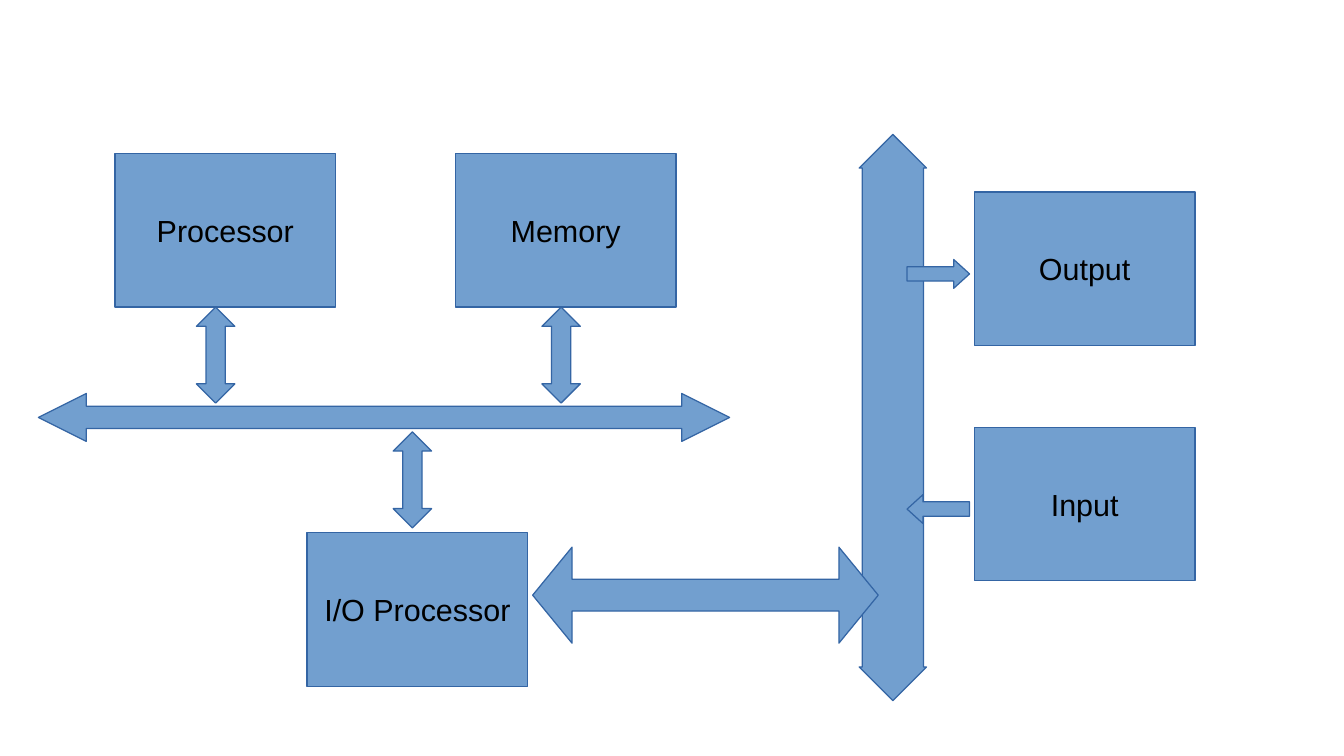
from dataclasses import dataclass

from pptx import Presentation
from pptx.dml.color import RGBColor
from pptx.enum.shapes import MSO_SHAPE
from pptx.enum.text import MSO_ANCHOR, PP_ALIGN
from pptx.util import Pt

RECTANGLE = MSO_SHAPE.RECTANGLE
HORIZONTAL = MSO_SHAPE.LEFT_RIGHT_ARROW
VERTICAL = MSO_SHAPE.UP_DOWN_ARROW
RIGHT = MSO_SHAPE.RIGHT_ARROW
LEFT = MSO_SHAPE.LEFT_ARROW
MIDDLE = MSO_ANCHOR.MIDDLE
CENTER = PP_ALIGN.CENTER


@dataclass(frozen=True)
class Theme:
    fill: RGBColor = RGBColor(0x72, 0x9F, 0xCF)
    line: RGBColor = RGBColor(0x34, 0x65, 0xA4)
    text: RGBColor = RGBColor(0, 0, 0)
    font: str = "Arial"
    size: float = 18
    line_width: float = 0.75


@dataclass(frozen=True)
class Box:
    left: float
    top: float
    width: float
    height: float

    def inner(self, left, top, width, height):
        return Box(self.left + left, self.top + top, width, height)


THEME = Theme()
UNIT_SIZE = (130.4, 90.7)
STUB_SIZE = (22.7, 56.7)
DEVICE_ARROW_SIZE = (36.9, 17)


def add_block(page, kind, box):
    block = page.shapes.add_shape(
        kind, Pt(box.left), Pt(box.top), Pt(box.width), Pt(box.height)
    )
    block.shadow.inherit = False
    block.fill.solid()
    block.fill.fore_color.rgb = THEME.fill
    block.line.color.rgb = THEME.line
    block.line.width = Pt(THEME.line_width)
    return block


def add_unit(page, box, label):
    frame = add_block(page, RECTANGLE, box).text_frame
    frame.word_wrap = False
    frame.vertical_anchor = MIDDLE
    para = frame.paragraphs[0]
    para.text = label
    para.alignment = CENTER
    para.font.name = THEME.font
    para.font.size = Pt(THEME.size)
    para.font.color.rgb = THEME.text


def add_arrow(page, kind, box, shaft, head):
    arrow = add_block(page, kind, box)
    arrow.adjustments[0] = shaft
    arrow.adjustments[1] = head


def add_system_region(page, box):
    units = [
        ("Processor", 45.2, 0, 93.3, 90.7),
        ("Memory", 246.2, 0, 297.3, 90.7),
        ("I/O Processor", 158.7, 224, 209.5, 164.4),
    ]
    add_arrow(page, HORIZONTAL, box.inner(0, 141.7, box.width, 28.3), 0.46, 1)
    for label, left, top, stub_left, stub_top in units:
        add_unit(page, box.inner(left, top, *UNIT_SIZE), label)
        add_arrow(page, VERTICAL, box.inner(stub_left, stub_top, *STUB_SIZE), 0.5, 0.5)


def add_device_region(page, box):
    devices = [("Output", RIGHT, 34), ("Input", LEFT, 172.9)]
    add_arrow(page, VERTICAL, box.inner(0, 0, 39.7, box.height), 0.34, 0.91)
    for label, direction, top in devices:
        add_unit(page, box.inner(68, top, *UNIT_SIZE), label)
        arrow_box = box.inner(28.3, top + 39.9, *DEVICE_ARROW_SIZE)
        add_arrow(page, direction, arrow_box, 0.5, 0.55)


def main():
    deck = Presentation()
    deck.slide_width = Pt(793.7)
    deck.slide_height = Pt(446.5)
    page = deck.slides.add_slide(deck.slide_layouts[6])
    add_system_region(page, Box(22.7, 90.7, 408.2, 314.7))
    add_device_region(page, Box(507.4, 79.4, 198.4, 334.4))
    add_arrow(page, HORIZONTAL, Box(314.6, 323.2, 204.1, 56.7), 0.33, 0.41)
    deck.save("out.pptx")


if __name__ == "__main__":
    main()
